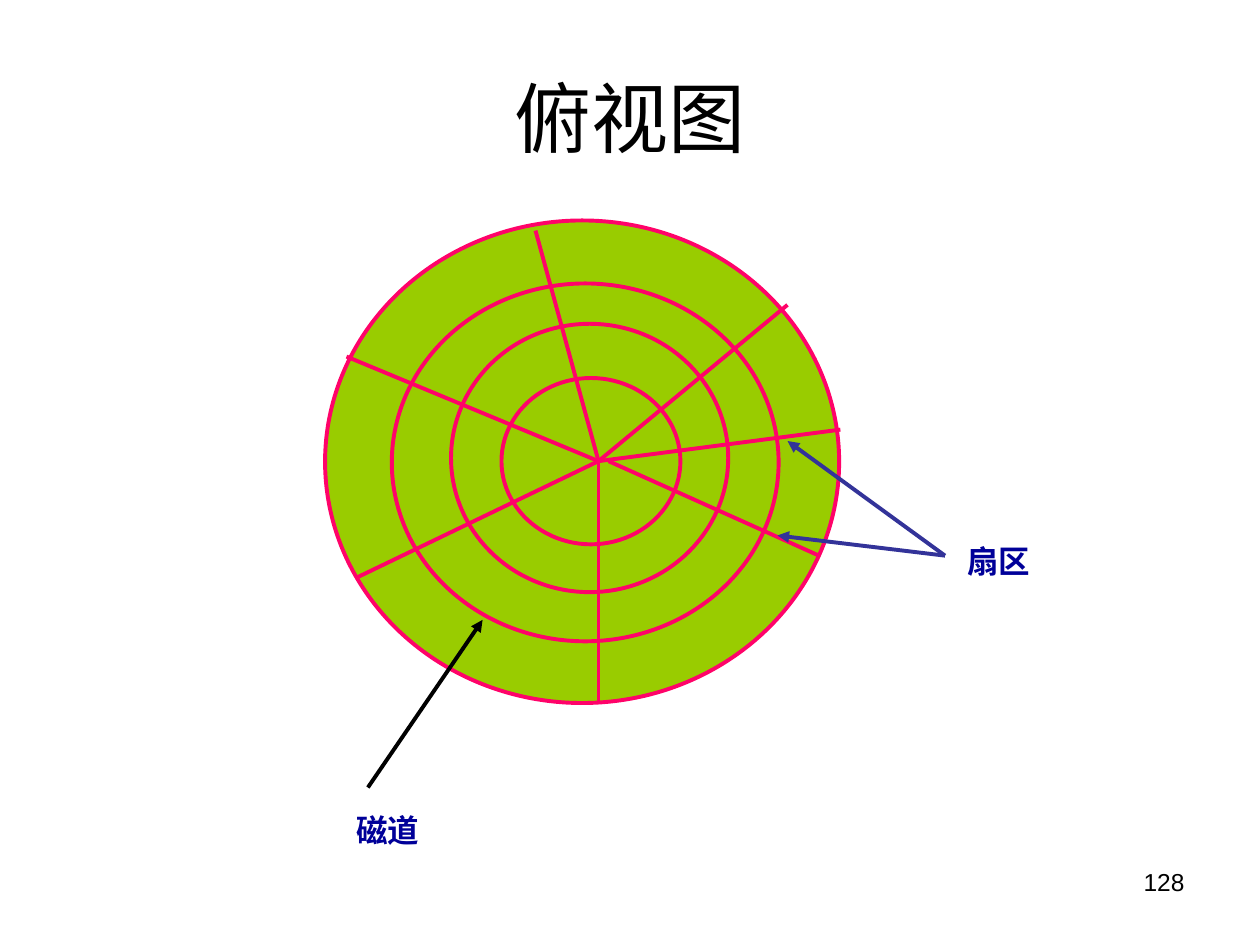
from lxml import etree
from pptx import Presentation, util as u
from pptx.dml.color import RGBColor
from pptx.enum import shapes, text
from pptx.oxml.ns import qn

WIDTH, HEIGHT = 10, 7.5
FONT = "Arial"
BLACK = RGBColor(0x00, 0x00, 0x00)
DISK_GREEN = RGBColor(0x99, 0xCC, 0x00)
TRACK_PINK = RGBColor(0xFF, 0x03, 0x69)
LABEL_BLUE = RGBColor(0x00, 0x00, 0x99)
ARROW_BLUE = RGBColor(0x33, 0x33, 0x99)
STROKE = u.Pt(2.25)

# Tracks from the rim inwards: left, top, width, height
TRACKS = [
    (2.58, 1.75, 4.08, 3.83),
    (3.11, 2.25, 3.07, 2.84),
    (3.58, 2.57, 2.2, 2.13),
    (3.98, 3, 1.42, 1.32),
]
HUB = (4.75, 3.66)
SECTOR_ENDS = [(6.25, 2.42), (4.75, 5.58), (2.84, 4.58),
               (4.25, 1.83), (2.75, 2.83), (6.67, 3.41)]
OFFSET_SECTOR = ((4.83, 3.66), (6.5, 4.41))


def inches(values):
    return [u.Inches(value) for value in values]


def add_track(slide, box):
    track = slide.shapes.add_shape(shapes.MSO_SHAPE.OVAL, *inches(box))
    track.shadow.inherit = False
    track.fill.solid()
    track.fill.fore_color.rgb = DISK_GREEN
    track.line.color.rgb = TRACK_PINK
    track.line.width = STROKE


def add_line(slide, start, end, color, arrow=False):
    line = slide.shapes.add_connector(
        shapes.MSO_CONNECTOR.STRAIGHT, *inches(start + end))
    line.line.color.rgb = color
    line.line.width = STROKE
    properties = line._element.spPr
    if arrow:
        etree.SubElement(properties.find(qn("a:ln")), qn("a:tailEnd"),
                         type="triangle")
    etree.SubElement(properties, qn("a:effectLst"))


def add_text(slide, box, wording, size, color=BLACK, bold=False, wrap=True,
             align=text.PP_ALIGN.LEFT, anchor=text.MSO_ANCHOR.MIDDLE):
    frame = slide.shapes.add_textbox(*inches(box)).text_frame
    frame.word_wrap = wrap
    frame.vertical_anchor = anchor
    frame.text = wording
    paragraph = frame.paragraphs[0]
    paragraph.alignment = align
    font = paragraph.runs[0].font
    font.name, font.size, font.bold = FONT, u.Pt(size), bold
    font.color.rgb = color


def add_label(slide, left, top, wording):
    add_text(slide, (left, top, 1.09, 0.63), wording, 18, LABEL_BLUE,
             bold=True, wrap=False)


def main():
    deck = Presentation()
    deck.slide_width, deck.slide_height = inches((WIDTH, HEIGHT))
    slide = deck.slides.add_slide(deck.slide_layouts[6])

    # Title and page number
    add_text(slide, (0.05 * WIDTH, 0.04 * HEIGHT, 0.9 * WIDTH, 1.25),
             "俯视图", 44, align=text.PP_ALIGN.CENTER)
    add_text(slide, (7.17, 6.83, 2.33, 0.52), "128", 14,
             align=text.PP_ALIGN.RIGHT, anchor=text.MSO_ANCHOR.TOP)

    # Disk: tracks, then sector borders
    for track in TRACKS:
        add_track(slide, track)
    for end in SECTOR_ENDS:
        add_line(slide, HUB, end, TRACK_PINK)
    add_line(slide, *OFFSET_SECTOR, TRACK_PINK)

    # Track callout
    add_line(slide, (2.92, 6.25), (3.83, 4.92), BLACK, arrow=True)
    add_label(slide, 2.73, 6.27, "磁道")

    # Sector callout
    for target in ((6.25, 3.5), (6.17, 4.25)):
        add_line(slide, (7.5, 4.41), target, ARROW_BLUE, arrow=True)
    add_label(slide, 7.58, 4.14, "扇区")

    deck.save("out.pptx")


if __name__ == "__main__":
    main()
